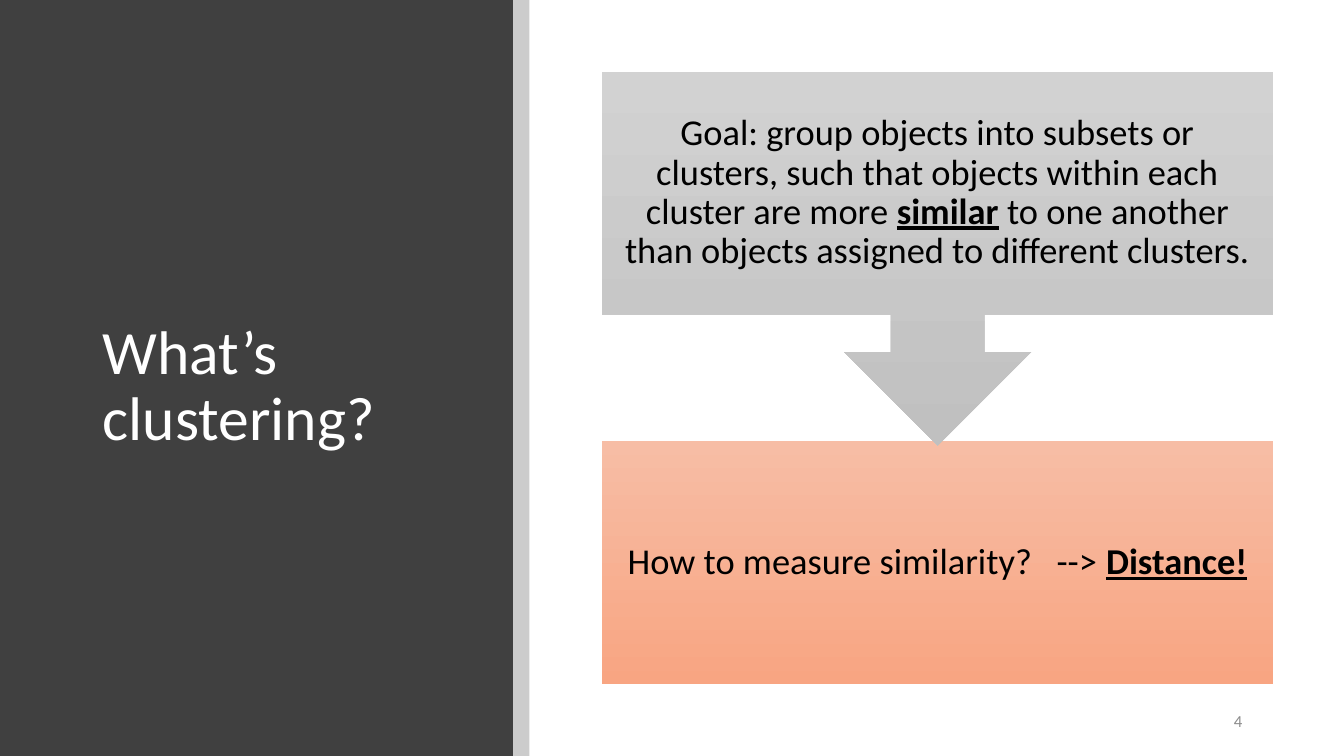
from pptx import Presentation
from pptx.dml.color import RGBColor
from pptx.enum import shapes, text
from pptx.util import Inches, Pt

FONT = "Calibri"
TITLE = "What’s clustering?"
PAGE = "4"
PANELS = [  # left, width, colour
    (0, 5.09, "404040"),
    (5.09, 0.16, "CCCCCC"),
]
# Text runs are (wording, emphasised)
GOAL = [
    ("Goal: group objects into subsets or clusters, such that objects "
     "within each cluster are more ", False),
    ("similar", True),
    (" to one another than objects assigned to different clusters.", False),
]
QUESTION = [
    ("How to measure similarity?   --> ", False),
    ("Distance!", True),
]
SLIDE_W, SLIDE_H = 13.33, 7.5
STEP_LEFT, STEP_W = 5.97, 6.66
RECT, CALLOUT = shapes.MSO_SHAPE.RECTANGLE, shapes.MSO_SHAPE.DOWN_ARROW_CALLOUT
STEPS = [  # shape, top, height, gradient from top to bottom, runs
    (RECT, 4.38, 2.41, ("F7BDA5", "F8A582"), QUESTION),
    (CALLOUT, 0.71, 3.71, ("D2D2D2", "C0C0C0"), GOAL),
]


def rgb(value):
    return RGBColor.from_string(value)


def style(r, size, color, strong=False):
    f = r.font
    f.name, f.size, f.color.rgb = FONT, Pt(size), rgb(color)
    f.bold = f.underline = strong


def add_block(slide, kind, *box):
    """Add a shape with neither outline nor shadow."""
    sp = slide.shapes.add_shape(kind, *map(Inches, box))
    sp.shadow.inherit = False
    sp.line.fill.background()
    return sp


def add_panel(slide, left, width, color):
    sp = add_block(slide, RECT, left, 0, width, SLIDE_H)
    sp.fill.solid()
    sp.fill.fore_color.rgb = rgb(color)


def add_step(slide, kind, top, height, colors, runs):
    sp = add_block(slide, kind, STEP_LEFT, top, STEP_W, height)
    sp.fill.gradient()
    sp.fill.gradient_angle = 270
    for stop, color in zip(sp.fill.gradient_stops, colors):
        stop.color.rgb = rgb(color)
    tf = sp.text_frame
    tf.word_wrap = True
    tf.vertical_anchor = text.MSO_ANCHOR.MIDDLE
    tf.margin_left = tf.margin_right = Inches(0.2)
    tf.margin_top = tf.margin_bottom = Inches(0.2)
    p = tf.paragraphs[0]
    p.alignment, p.line_spacing = text.PP_ALIGN.CENTER, 0.9
    for words, strong in runs:
        r = p.add_run()
        r.text = words
        style(r, 26, "000000", strong)


def fill_line(sp, words, size, color, align):
    """Put one middle-anchored paragraph in a text shape."""
    tf = sp.text_frame
    tf.text = words
    tf.word_wrap = True
    tf.vertical_anchor = text.MSO_ANCHOR.MIDDLE
    p = tf.paragraphs[0]
    p.alignment = align
    style(p.runs[0], size, color)
    return p


def main():
    prs = Presentation()
    prs.slide_width, prs.slide_height = Inches(SLIDE_W), Inches(SLIDE_H)
    slide = prs.slides.add_slide(prs.slide_layouts[5])

    for panel in PANELS:
        add_panel(slide, *panel)

    title = slide.shapes.title
    title.left, title.top = Inches(0.92), Inches(0.89)
    title.width, title.height = Inches(3.65), Inches(5.91)
    p = fill_line(title, TITLE, 44, "FFFFFF", text.PP_ALIGN.LEFT)
    p.line_spacing = 0.9
    title.element.getparent().append(title.element)  # in front of the panels

    for step in STEPS:
        add_step(slide, *step)

    number = slide.shapes.add_textbox(*map(Inches, (9.42, 6.95, 3, 0.4)))
    fill_line(number, PAGE, 12, "8C8C8C", text.PP_ALIGN.RIGHT)
    prs.save("out.pptx")


if __name__ == "__main__":
    main()
